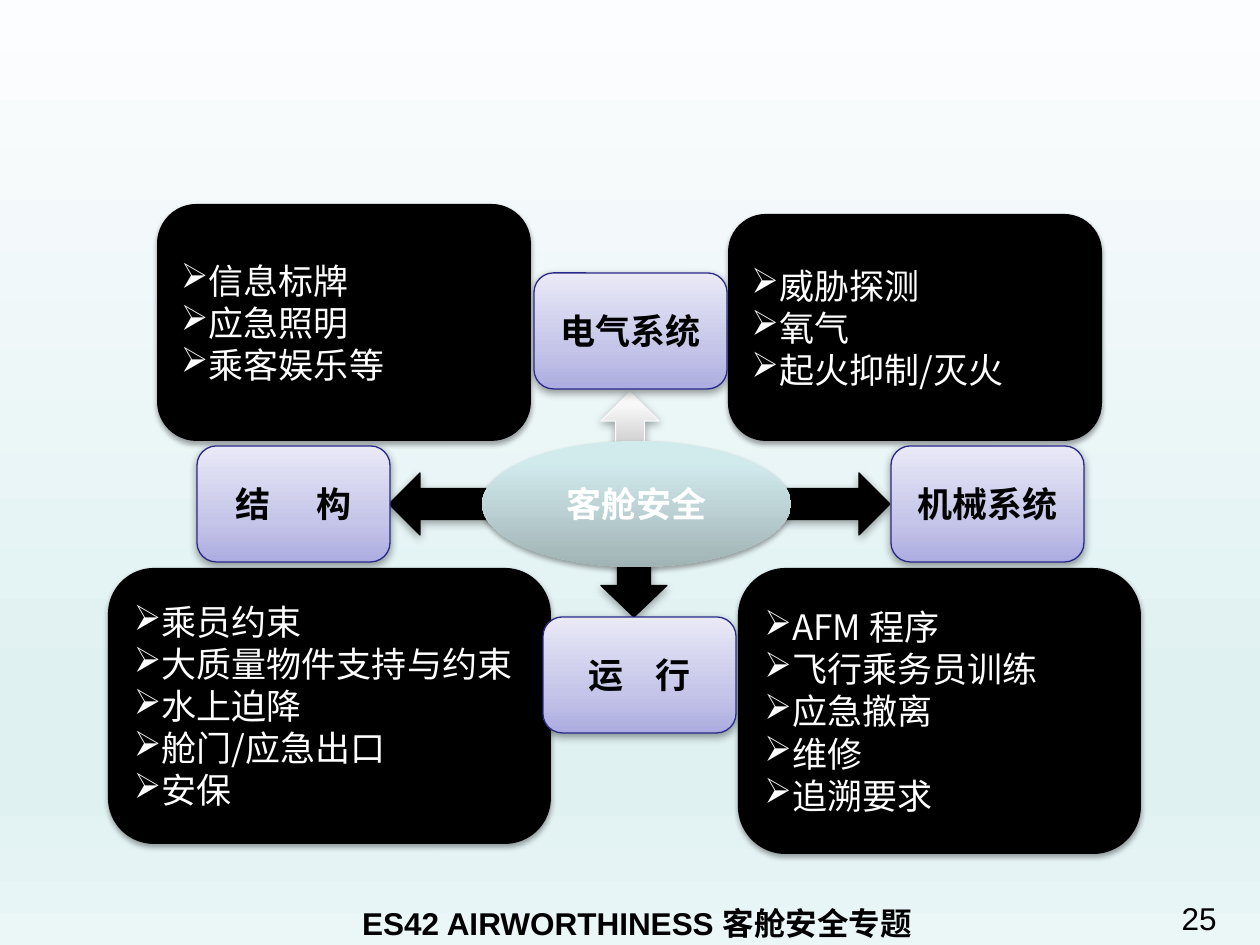
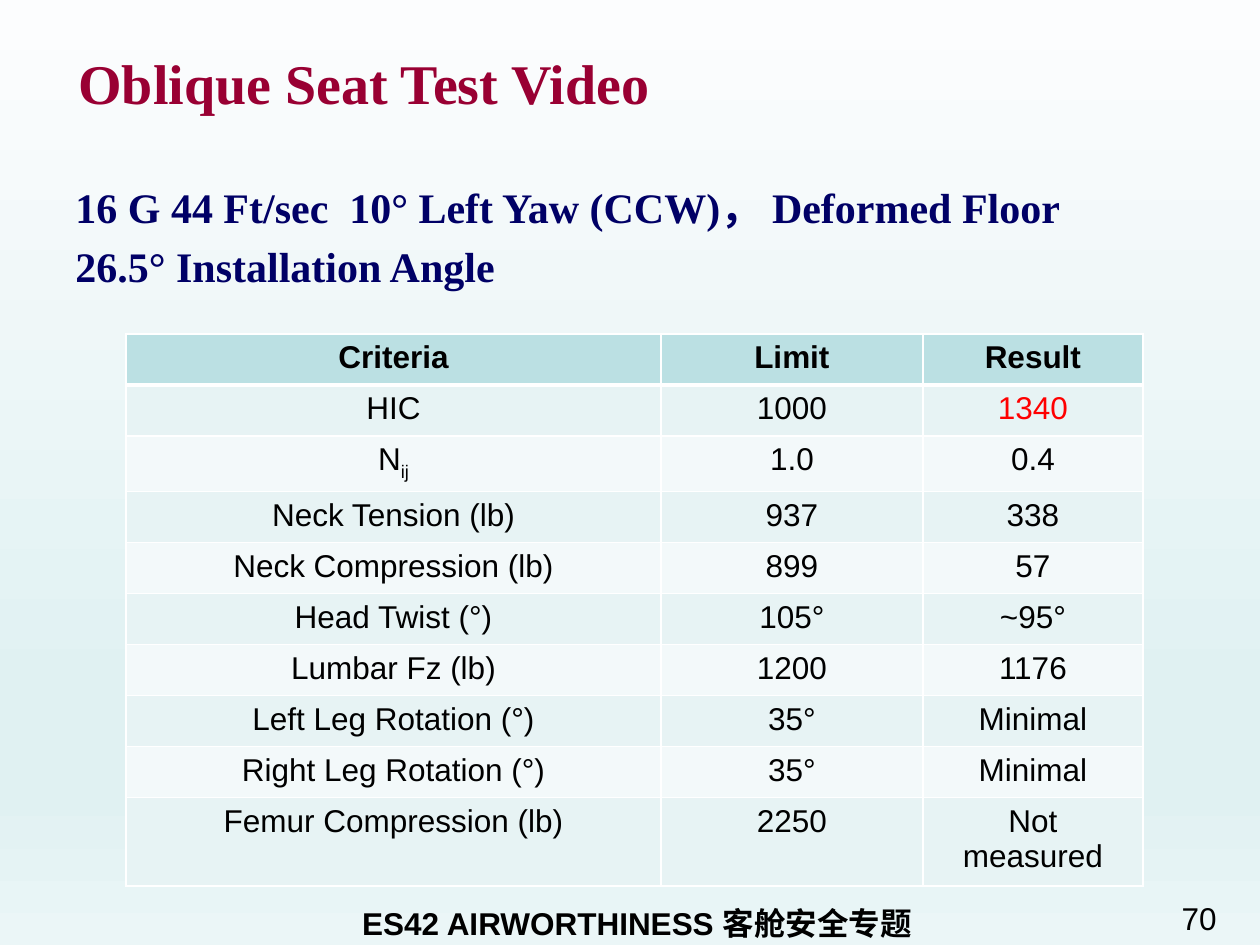
from lxml import etree
from pptx import Presentation
from pptx.dml.color import RGBColor
from pptx.enum.shapes import MSO_SHAPE
from pptx.enum.text import MSO_ANCHOR, PP_ALIGN
from pptx.oxml.ns import qn
from pptx.util import Emu, Pt

ROUND, OVAL = MSO_SHAPE.ROUNDED_RECTANGLE, MSO_SHAPE.OVAL
UP, DOWN = MSO_SHAPE.UP_ARROW, MSO_SHAPE.DOWN_ARROW
LEFT, RIGHT = MSO_SHAPE.LEFT_ARROW, MSO_SHAPE.RIGHT_ARROW
MIDDLE, TOP = MSO_ANCHOR.MIDDLE, MSO_ANCHOR.TOP
AL_LEFT, AL_CENTER, AL_JUSTIFY = PP_ALIGN.LEFT, PP_ALIGN.CENTER, PP_ALIGN.JUSTIFY

PX_PER_INCH = 126
SANS, SERIF, CJK = "Arial", "Times New Roman", "Noto Sans CJK SC"
COLORS = {
    "black": "000000", "white": "FFFFFF", "title": "990033", "body": "000066",
    "alert": "FF0000", "node_line": "292989", "arrow_line": "F9F9F9",
    "header": "BBE0E3", "odd_row": "E7F3F4", "even_row": "F3F9FA",
}
# Gradients run from top to bottom
GRADIENTS = {
    "background": [(0, "FCFDFE"), (74, "E0F1F2"), (83, "E0F1F2"), (100, "EBF6F7")],
    "node": [(0, "E9E9F7"), (65, "C5C5E9"), (100, "ACACE1")],
    "hub": [(0, "D1EAEC"), (20, "D0E8EB"), (100, "A0B3B5")],
    "arrow": [(0, "F8F8F8"), (20, "F7F7F7"), (100, "BDBDBD")],
}


def px(n):
    return Emu(round(n * 914400 / PX_PER_INCH))


def rgb(name):
    return RGBColor.from_string(COLORS[name])


def add_element(parent, tag, **attrs):
    return etree.SubElement(parent, qn(tag), {k: str(v) for k, v in attrs.items()})


def set_gradient(fill, name):
    fill.gradient()
    fill.gradient_angle = 270
    stops = fill.gradient_stops._gsLst
    for stop in list(stops):
        stops.remove(stop)
    for pos, color in GRADIENTS[name]:
        add_element(add_element(stops, "a:gs", pos=pos * 1000), "a:srgbClr", val=color)


def set_font(p, size, font, color="black", bold=False):
    p.font.size, p.font.name, p.font.bold = Pt(size), font, bold
    p.font.color.rgb = rgb(color)
    add_element(p.font._element, "a:ea", typeface=CJK)


def add_text(s, box, lines, size, font, color="black", bold=False,
             align=AL_LEFT, anchor=TOP, space=0):
    tf = s.shapes.add_textbox(*map(px, box)).text_frame
    tf.word_wrap, tf.vertical_anchor = True, anchor
    for i, line in enumerate(lines):
        p = tf.paragraphs[0] if i == 0 else tf.add_paragraph()
        p.text, p.alignment = line, align
        if i:
            p.space_before = Pt(space)
        set_font(p, size, font, color, bold)


def add_block(s, kind, box, fill, line=None, blur=5, alpha=35):
    """Preset shape with a soft shadow below it."""
    sp = s.shapes.add_shape(kind, *map(px, box))
    if fill in GRADIENTS:
        set_gradient(sp.fill, fill)
    else:
        sp.fill.solid()
        sp.fill.fore_color.rgb = rgb(fill)
    if line:
        sp.line.color.rgb, sp.line.width = rgb(line), Pt(0.75)
    else:
        sp.line.fill.background()
    sp.shadow.inherit = False
    effects = sp._element.spPr.find(qn("a:effectLst"))
    shadow = add_element(effects, "a:outerShdw", blurRad=Pt(blur), dist=Pt(1.8),
                         dir=90 * 60000, rotWithShape=0)
    add_element(add_element(shadow, "a:srgbClr", val=COLORS["black"]),
                "a:alpha", val=alpha * 1000)
    sp.text_frame.word_wrap, sp.text_frame.vertical_anchor = True, MIDDLE
    return sp


def add_panel(s, box, items):
    """Black panel with an arrow-bulleted list."""
    tf = add_block(s, ROUND, box, "black", blur=3.1).text_frame
    for i, item in enumerate(items):
        p = tf.paragraphs[0] if i == 0 else tf.add_paragraph()
        p.text, p.alignment, p.line_spacing = item, AL_LEFT, Pt(24)
        add_element(p._p.get_or_add_pPr(), "a:buChar", char="➢")
        set_font(p, 20, CJK, "white")


def add_label(sp, text, color, gap=0):
    """Centred bold label; gap widens its space, in points."""
    p = sp.text_frame.paragraphs[0]
    p.alignment = AL_CENTER
    for part in text.partition(" "):
        if part:
            r = p.add_run()
            r.text = part
            if part == " ":
                r._r.get_or_add_rPr().set("spc", str(gap * 100))
    set_font(p, 20, SERIF, color, True)


def add_footer(s, number):
    add_text(s, (113, 898, 1048, 50), ["ES42 AIRWORTHINESS 客舱安全专题"], 18, SANS,
             bold=True, align=AL_CENTER)
    add_text(s, (1152, 893, 94, 45), [str(number)], 18, SANS, align=AL_CENTER)


def add_safety_diagram(s, box):
    x0, y0 = box

    def at(x, y, w, h):
        return x0 + x, y0 + y, w, h

    # Lists in the four corners
    panels = [
        ((630, 364, 403, 286), ["AFM 程序", "飞行乘务员训练", "应急撤离", "维修", "追溯要求"]),
        ((49, 0, 374, 237), ["信息标牌", "应急照明", "乘客娱乐等"]),
        ((620, 10, 374, 227), ["威胁探测", "氧气", "起火抑制/灭火"]),
        ((0, 364, 443, 276),
         ["乘员约束", "大质量物件支持与约束", "水上迫降", "舱门/应急出口", "安保"]),
    ]
    for area, items in panels:
        add_panel(s, at(*area), items)

    # Arrows from the hub
    arrows = [
        (DOWN, (493, 350, 66, 63), "black", "black"),
        (LEFT, (281, 269, 103, 62), "black", "black"),
        (UP, (493, 188, 58, 69), "arrow", "arrow_line"),
        (RIGHT, (676, 269, 106, 62), "black", "black"),
    ]
    for kind, area, fill, line in arrows:
        add_block(s, kind, at(*area), fill, line)

    # Hub and the four fields around it
    hub = add_block(s, OVAL, at(374, 237, 309, 126), "hub", blur=3.1)
    add_label(hub, "客舱安全", "white")
    nodes = [(89, 242, "结 构", 22), (426, 69, "电气系统", 0),
             (783, 242, "机械系统", 0), (435, 413, "运 行", 14)]
    for x, y, text, gap in nodes:
        node = add_block(s, ROUND, at(x, y, 193, 116), "node", "node_line", alpha=38)
        add_label(node, text, "black", gap)


def set_borders(cell, top, bottom):
    tc_pr = cell._tc.get_or_add_tcPr()
    for side, width in (("L", 1), ("R", 1), ("T", top), ("B", bottom)):
        ln = add_element(tc_pr, f"a:ln{side}", w=Pt(width))
        add_element(add_element(ln, "a:solidFill"), "a:srgbClr", val=COLORS["white"])


def add_results_table(s, box, rows):
    x, y = box
    widths, heights = [535, 262, 220], [51] * (len(rows) - 1) + [88]
    table = s.shapes.add_table(len(rows), len(widths), px(x), px(y),
                               px(sum(widths)), px(sum(heights))).table
    for column, width in zip(table.columns, widths):
        column.width = px(width)
    for i, (row, height) in enumerate(zip(rows, heights)):
        table.rows[i].height = px(height)
        fill = "header" if i == 0 else "odd_row" if i % 2 else "even_row"
        for j, text in enumerate(row):
            cell = table.cell(i, j)
            set_borders(cell, 3 if i == 1 else 1, 3 if i == 0 else 1)
            cell.fill.solid()
            cell.fill.fore_color.rgb = rgb(fill)
            p = cell.text_frame.paragraphs[0]
            p.alignment = AL_CENTER
            base, _, subscript = text.partition("_")
            p.add_run().text = base
            if subscript:
                r = p.add_run()
                r.text = subscript
                r._r.get_or_add_rPr().set("baseline", "-25000")
            set_font(p, 18, SANS, "alert" if text == "1340" else "black", i == 0)


def build_safety_slide(prs):
    s = prs.slides.add_slide(prs.slide_layouts[6])
    add_footer(s, 25)
    add_safety_diagram(s, (108, 204))


def build_test_slide(prs):
    s = prs.slides.add_slide(prs.slide_layouts[6])
    add_footer(s, 70)
    add_text(s, (66, 26, 1134, 112), ["Oblique Seat Test Video"], 32, SERIF,
             "title", True, anchor=MIDDLE)
    add_text(s, (63, 175, 1134, 714),
             ["16 G 44 Ft/sec  10° Left Yaw (CCW)， Deformed Floor",
              "26.5° Installation Angle"],
             24, SERIF, "body", True, AL_JUSTIFY, space=4.8)
    add_results_table(s, (126, 334), [
        ("Criteria", "Limit", "Result"),
        ("HIC", "1000", "1340"),
        ("N_ij", "1.0", "0.4"),
        ("Neck Tension (lb)", "937", "338"),
        ("Neck Compression (lb)", "899", "57"),
        ("Head Twist (°)", "105°", "~95°"),
        ("Lumbar Fz (lb)", "1200", "1176"),
        ("Left Leg Rotation (°)", "35°", "Minimal"),
        ("Right Leg Rotation (°)", "35°", "Minimal"),
        ("Femur Compression (lb)", "2250", "Not measured"),
    ])


def main():
    prs = Presentation()
    prs.slide_width, prs.slide_height = px(1260), px(945)
    set_gradient(prs.slide_master.background.fill, "background")
    build_safety_slide(prs)
    build_test_slide(prs)
    prs.save("out.pptx")


if __name__ == "__main__":
    main()
